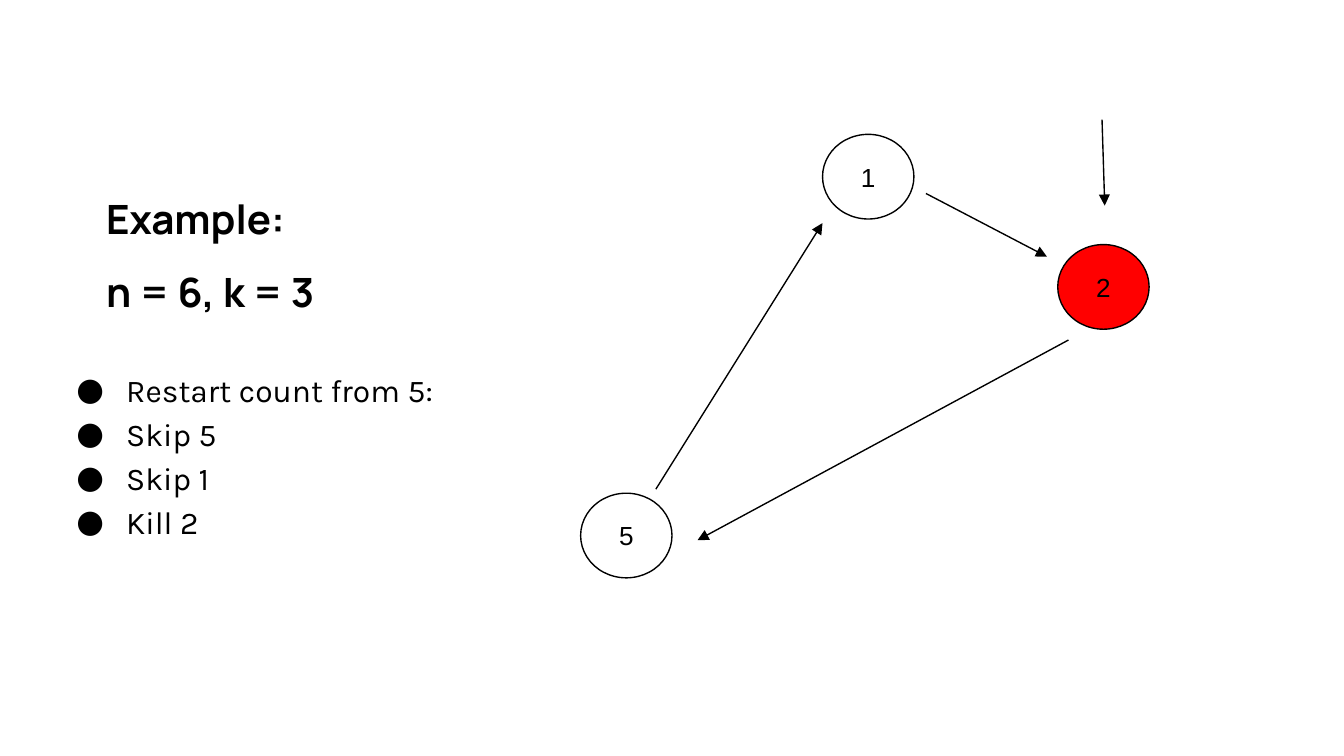
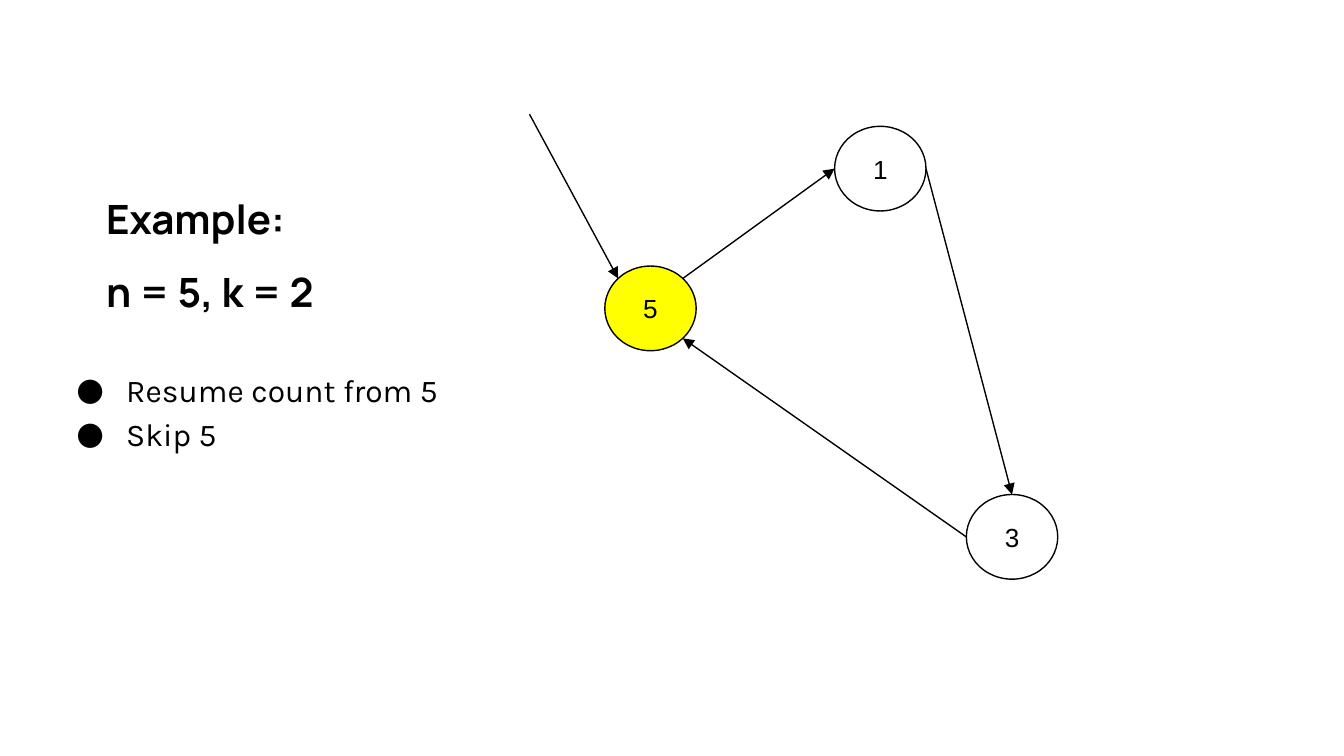
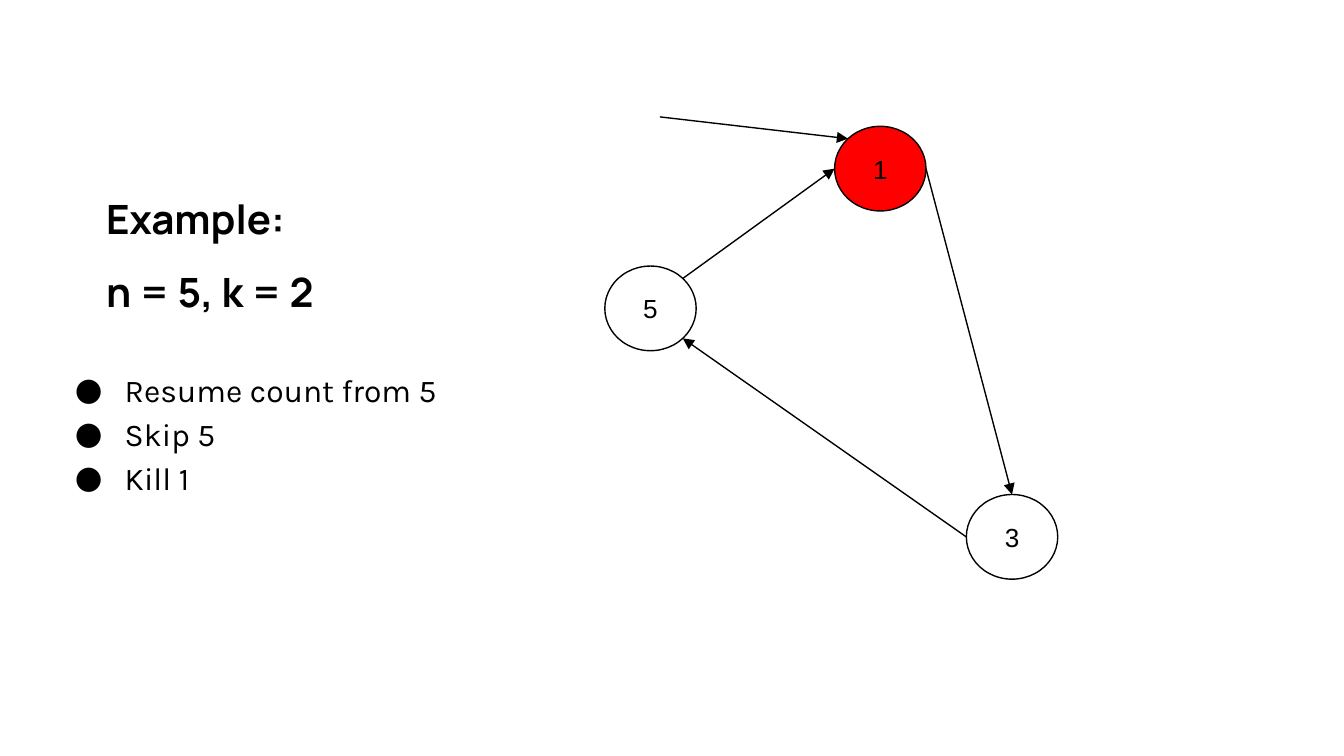
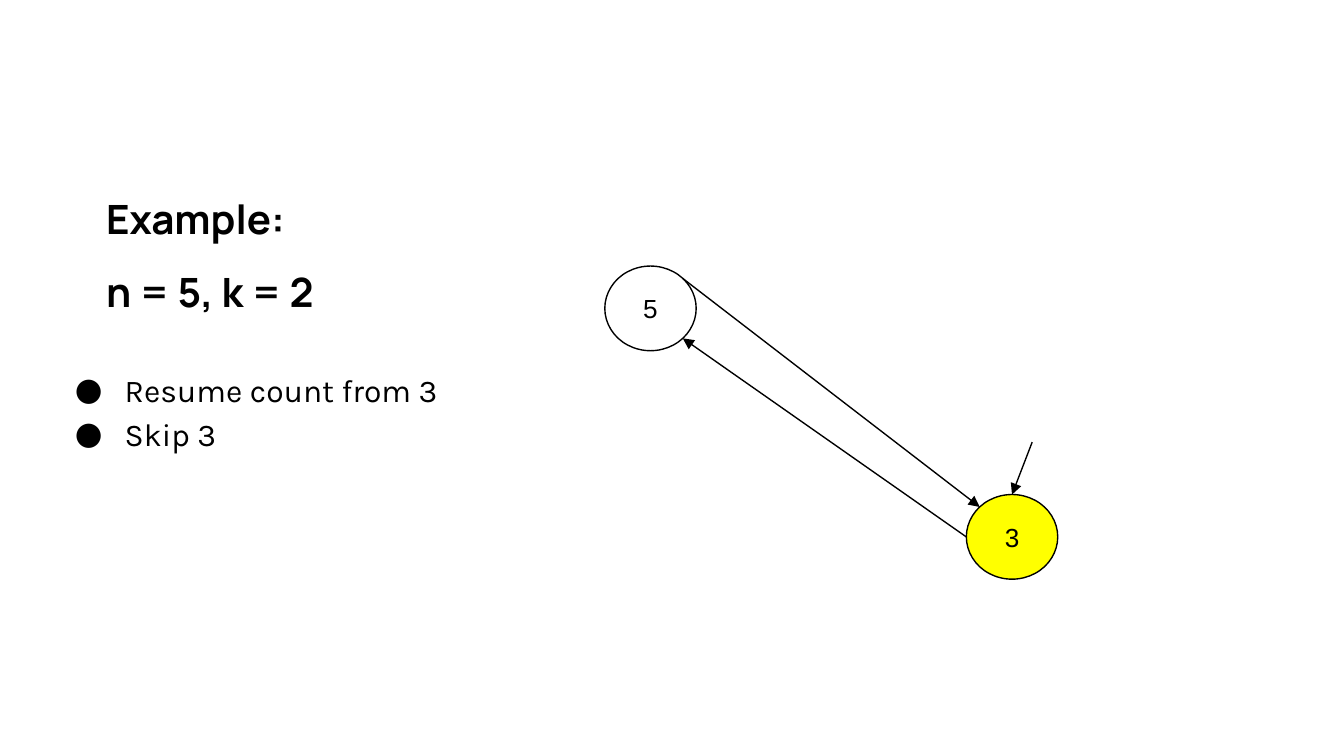
from dataclasses import dataclass
from math import cos, radians, sin
from typing import NamedTuple

from lxml.etree import SubElement
from pptx import Presentation
from pptx.dml.color import RGBColor
from pptx.enum.shapes import MSO_CONNECTOR, MSO_SHAPE
from pptx.enum.text import MSO_ANCHOR, MSO_AUTO_SIZE, PP_ALIGN
from pptx.oxml.ns import qn
from pptx.slide import Slide
from pptx.text.text import Font, TextFrame
from pptx.util import Inches, Pt


@dataclass(frozen=True)
class Theme:
    ink: RGBColor = RGBColor(0x00, 0x00, 0x00)
    killed: RGBColor = RGBColor(0xFF, 0x00, 0x00)
    skipped: RGBColor = RGBColor(0xFF, 0xFF, 0x00)
    title_font: str = "Manrope"
    steps_font: str = "Karla"
    label_font: str = "Arial"
    title_size: float = 21.6
    steps_size: float = 17
    label_size: float = 14
    line_width: float = 0.75


THEME = Theme()
SLIDE_WIDTH = Inches(10)
SLIDE_HEIGHT = SLIDE_WIDTH * 9 // 16
NODE_WIDTH, NODE_HEIGHT = 0.68, 0.63
TOP, LOWER_RIGHT, LEFT, RIGHT = -90, 45, 180, 0
UPPER_LEFT, UPPER_RIGHT = -135, -45


class Point(NamedTuple):
    x: float
    y: float


@dataclass(frozen=True)
class Person:
    """One member of the circle, placed by the left top corner."""
    label: str
    left: float
    top: float

    def edge(self, degrees: float) -> Point:
        """Point on the outline, measured clockwise from the right."""
        return Point(
            self.left + NODE_WIDTH / 2 * (1 + cos(radians(degrees))),
            self.top + NODE_HEIGHT / 2 * (1 + sin(radians(degrees))),
        )


class Arrow(NamedTuple):
    start: Point
    end: Point


@dataclass(frozen=True)
class Step:
    n: int
    k: int
    actions: list[str]
    people: list[Person]
    arrows: list[Arrow]
    current: str
    highlight: RGBColor
    actions_left: float = 0.33


def set_font(font: Font, name: str, size: float, bold: bool = False) -> None:
    font.name = name
    font.size = Pt(size)
    font.bold = bold
    font.color.rgb = THEME.ink


def set_frame(frame: TextFrame, anchor: MSO_ANCHOR) -> None:
    frame.word_wrap = True
    frame.auto_size = MSO_AUTO_SIZE.NONE
    frame.vertical_anchor = anchor
    frame.margin_left = frame.margin_right = Inches(0.1)
    frame.margin_top = frame.margin_bottom = Inches(0.1)


def add_title(slide: Slide, step: Step) -> None:
    title = slide.shapes.title
    title.left, title.top = Inches(0.69), Inches(1.38)
    title.width, title.height = Inches(3.07), Inches(1.07)
    frame = title.text_frame
    set_frame(frame, MSO_ANCHOR.BOTTOM)
    frame.text = f"Example:\nn = {step.n}, k = {step.k}"
    for paragraph in frame.paragraphs:
        paragraph.alignment = PP_ALIGN.LEFT
        paragraph.line_spacing = 0.9
        set_font(paragraph.font, THEME.title_font, THEME.title_size, bold=True)
    frame.paragraphs[1].space_before = Pt(15.5)


def add_actions(slide: Slide, step: Step) -> None:
    box = slide.shapes.add_textbox(
        Inches(step.actions_left), Inches(2.62), Inches(3.07), Inches(2.38))
    frame = box.text_frame
    set_frame(frame, MSO_ANCHOR.TOP)
    frame.text = "\n".join(step.actions)
    for paragraph in frame.paragraphs:
        paragraph.line_spacing = 1.15
        properties = paragraph._p.get_or_add_pPr()
        properties.set("marL", str(Inches(0.5)))
        properties.set("indent", str(Inches(-0.37)))
        bullet_color = SubElement(properties, qn("a:buClr"))
        SubElement(bullet_color, qn("a:srgbClr"), val=str(THEME.ink))
        SubElement(properties, qn("a:buFont"), typeface=THEME.steps_font)
        SubElement(properties, qn("a:buChar"), char="●")
        set_font(paragraph.font, THEME.steps_font, THEME.steps_size)


def add_person(slide: Slide, person: Person, step: Step) -> None:
    circle = slide.shapes.add_shape(
        MSO_SHAPE.OVAL, Inches(person.left), Inches(person.top),
        Inches(NODE_WIDTH), Inches(NODE_HEIGHT))
    circle.shadow.inherit = False
    if person.label == step.current:
        circle.fill.solid()
        circle.fill.fore_color.rgb = step.highlight
    else:
        circle.fill.background()
    circle.line.color.rgb = THEME.ink
    circle.line.width = Pt(THEME.line_width)
    set_frame(circle.text_frame, MSO_ANCHOR.MIDDLE)
    label = circle.text_frame.paragraphs[0]
    label.text = person.label
    label.alignment = PP_ALIGN.CENTER
    set_font(label.font, THEME.label_font, THEME.label_size)


def add_arrow(slide: Slide, arrow: Arrow) -> None:
    connector = slide.shapes.add_connector(
        MSO_CONNECTOR.STRAIGHT,
        Inches(arrow.start.x), Inches(arrow.start.y),
        Inches(arrow.end.x), Inches(arrow.end.y))
    connector.line.color.rgb = THEME.ink
    connector.line.width = Pt(THEME.line_width)
    SubElement(connector.line._get_or_add_ln(), qn("a:tailEnd"), type="triangle")
    SubElement(connector._element.spPr, qn("a:effectLst"))


ONE = Person("1", 6.21, 0.94)
FIVE = Person("5", 4.5, 1.98)
THREE = Person("3", 7.19, 3.68)

THREE_TO_FIVE = Arrow(THREE.edge(LEFT), FIVE.edge(LOWER_RIGHT))
RING = [
    Arrow(ONE.edge(RIGHT), THREE.edge(TOP)),
    THREE_TO_FIVE,
    Arrow(FIVE.edge(UPPER_RIGHT), ONE.edge(LEFT)),
]

STEPS = [
    Step(
        6, 3, ["Restart count from 5:", "Skip 5", "Skip 1", "Kill 2"],
        [Person("1", 6.12, 1), Person("2", 7.87, 1.82), Person("5", 4.32, 3.67)],
        [
            Arrow(Point(6.89, 1.44), Point(7.79, 1.91)),
            Arrow(Point(7.95, 2.53), Point(5.19, 4.02)),
            Arrow(Point(4.88, 3.64), Point(6.12, 1.66)),
            Arrow(Point(8.2, 0.89), Point(8.22, 1.53)),
        ],
        "2", THEME.killed, actions_left=0.34,
    ),
    Step(
        5, 2, ["Resume count from 5", "Skip 5"], [ONE, FIVE, THREE],
        [*RING, Arrow(Point(3.94, 0.85), FIVE.edge(UPPER_LEFT))],
        "5", THEME.skipped, actions_left=0.34,
    ),
    Step(
        5, 2, ["Resume count from 5", "Skip 5", "Kill 1"], [ONE, FIVE, THREE],
        [*RING, Arrow(Point(4.91, 0.87), ONE.edge(UPPER_LEFT))],
        "1", THEME.killed,
    ),
    Step(
        5, 2, ["Resume count from 3", "Skip 3"], [FIVE, THREE],
        [
            THREE_TO_FIVE,
            Arrow(FIVE.edge(UPPER_RIGHT), THREE.edge(UPPER_LEFT)),
            Arrow(Point(7.68, 3.29), THREE.edge(TOP)),
        ],
        "3", THEME.skipped,
    ),
]


def main() -> None:
    deck = Presentation()
    deck.slide_width, deck.slide_height = SLIDE_WIDTH, SLIDE_HEIGHT
    title_only = deck.slide_layouts.get_by_name("Title Only")
    for step in STEPS:
        slide = deck.slides.add_slide(title_only)
        add_title(slide, step)
        add_actions(slide, step)
        for person in step.people:
            add_person(slide, person, step)
        for arrow in step.arrows:
            add_arrow(slide, arrow)
    deck.save("out.pptx")


if __name__ == "__main__":
    main()
